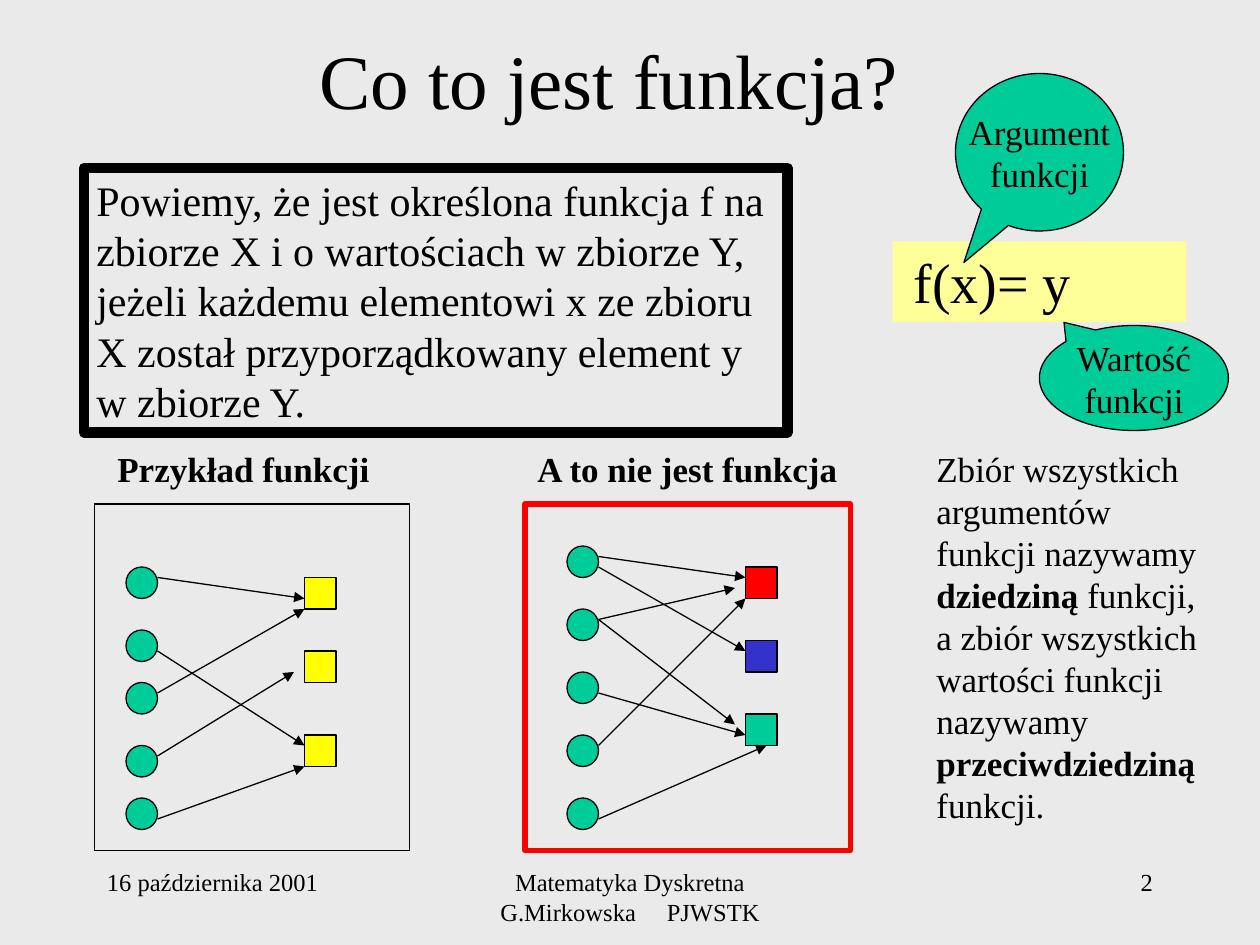
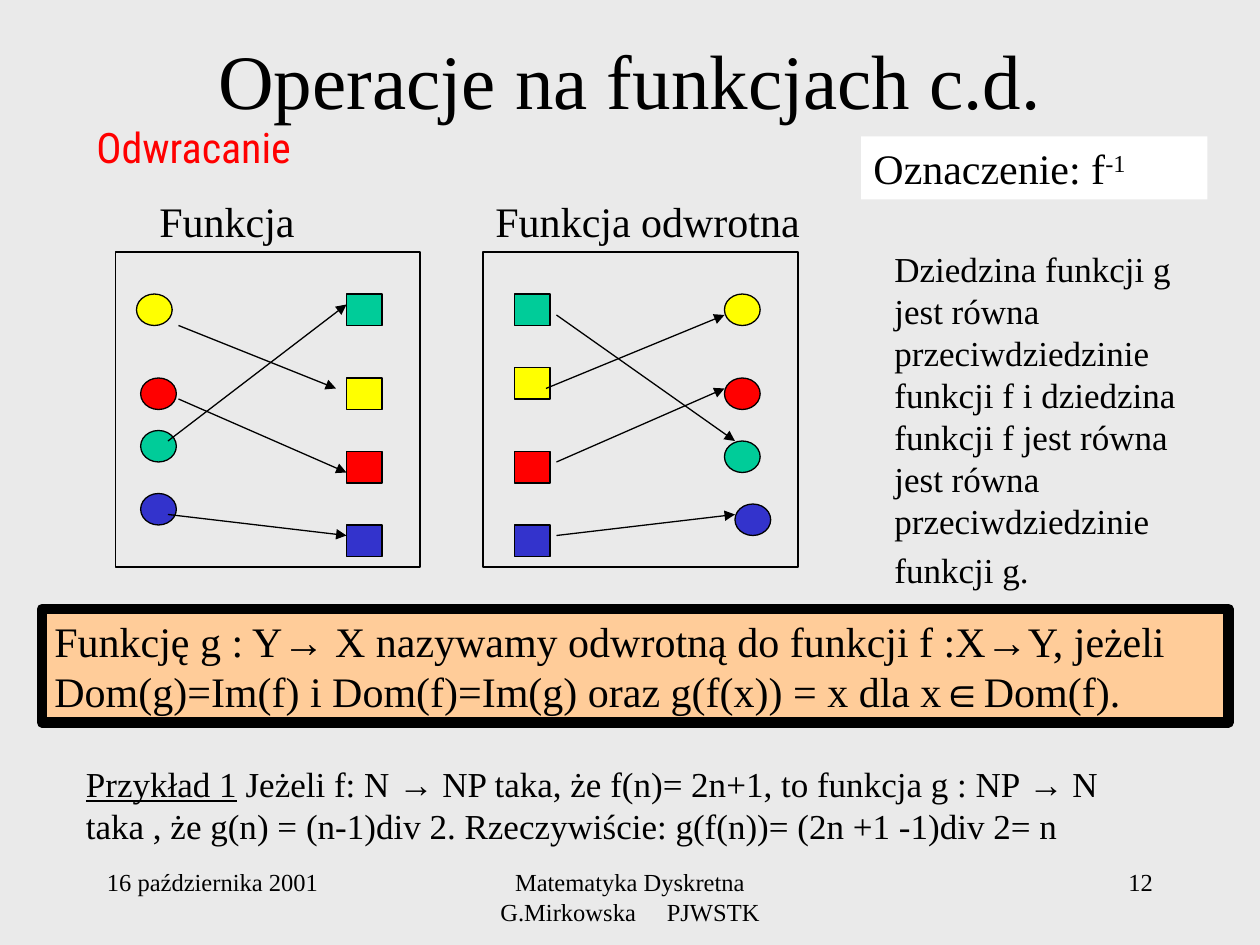
from dataclasses import dataclass, field

from lxml import etree
from pptx import Presentation
from pptx.dml.color import RGBColor
from pptx.enum.shapes import MSO_CONNECTOR, MSO_SHAPE
from pptx.enum.text import MSO_ANCHOR, MSO_AUTO_SIZE, PP_ALIGN
from pptx.oxml.ns import qn
from pptx.util import Emu, Pt

RECT, OVAL = MSO_SHAPE.RECTANGLE, MSO_SHAPE.OVAL
CALLOUT = MSO_SHAPE.OVAL_CALLOUT
STRAIGHT = MSO_CONNECTOR.STRAIGHT
TOP, MIDDLE = MSO_ANCHOR.TOP, MSO_ANCHOR.MIDDLE
LEFT, CENTER, RIGHT = PP_ALIGN.LEFT, PP_ALIGN.CENTER, PP_ALIGN.RIGHT
NO_FIT = MSO_AUTO_SIZE.NONE

EMU_PER_PX = 7620  # 120 px to the inch
TITLE_ONLY = 5


@dataclass(frozen=True)
class Theme:
    paper: str = "EAEAEA"
    ink: str = "000000"
    white: str = "FFFFFF"
    green: str = "00CC99"
    yellow: str = "FFFF00"
    red: str = "FF0000"
    blue: str = "3333CC"
    cream: str = "FFFF99"
    peach: str = "FFCC99"
    serif: str = "Times New Roman"
    symbol: str = "Arial"
    accent: str = "Roboto Condensed"
    title: int = 44
    formula: int = 32
    large: int = 24
    body: int = 20
    footer: int = 14
    thin: float = 0.75
    medium: float = 3
    thick: float = 6


T = Theme()


@dataclass(frozen=True)
class Box:
    x: int
    y: int
    w: int
    h: int

    def emu(self) -> list[Emu]:
        return [px(v) for v in (self.x, self.y, self.w, self.h)]


@dataclass(frozen=True)
class Run:
    text: str
    font: dict = field(default_factory=dict)
    xml: dict = field(default_factory=dict)


@dataclass(frozen=True)
class Mark:
    x: int
    y: int
    color: str


@dataclass(frozen=True)
class Diagram:
    """A framed mapping between circles and squares."""
    frame: Box
    circles: list[Mark]
    squares: list[Mark]
    arrows: list[tuple[int, int, int, int]]
    mark_w: int = 30
    mark_h: int = 30
    frame_color: str = T.ink
    frame_width: float = T.thin


ARROW = Run("→", {"name": T.symbol})
BOLD = {"bold": True}


def px(n: int) -> Emu:
    return Emu(n * EMU_PER_PX)


def rgb(color: str) -> RGBColor:
    return RGBColor.from_string(color)


def column(x: int, ys: list[int], colors: list[str]) -> list[Mark]:
    return [Mark(x, y, c) for y, c in zip(ys, colors)]


def write(sp, runs: list[Run], size: int, color: str = T.ink, font: str = T.serif,
          align=LEFT, anchor=TOP, wrap: bool = True, indent: int = 12) -> None:
    """Fill the text frame of sp with one paragraph of formatted runs."""
    tf = sp.text_frame
    frame_format = {
        "auto_size": NO_FIT, "word_wrap": wrap, "vertical_anchor": anchor,
        "margin_left": px(indent), "margin_right": px(12),
        "margin_top": px(6), "margin_bottom": px(6),
    }
    for name, value in frame_format.items():
        setattr(tf, name, value)
    p = tf.paragraphs[0]
    p.alignment = align
    for run in runs:
        for i, line in enumerate(run.text.split("\n")):
            if i:
                p.add_line_break()
            r = p.add_run()
            r.text = line
            for name, value in {"name": font, "size": Pt(size), **run.font}.items():
                setattr(r.font, name, value)
            r.font.color.rgb = rgb(color)
            for name, value in run.xml.items():
                r._r.get_or_add_rPr().set(name, value)


def text(s, box: Box, *runs: Run, size: int = T.body, **style) -> None:
    write(s.shapes.add_textbox(*box.emu()), list(runs), size, **style)


def shape(s, kind, box: Box, fill: str = "", line: str = "", width: float = T.thin):
    sp = s.shapes.add_shape(kind, *box.emu())
    sp.shadow.inherit = False
    if fill:
        sp.fill.solid()
        sp.fill.fore_color.rgb = rgb(fill)
    else:
        sp.fill.background()
    if line:
        sp.line.color.rgb = rgb(line)
        sp.line.width = Pt(width)
    else:
        sp.line.fill.background()
    return sp


def arrow(s, x1: int, y1: int, x2: int, y2: int) -> None:
    c = s.shapes.add_connector(STRAIGHT, px(x1), px(y1), px(x2), px(y2))
    c.line.color.rgb = rgb(T.ink)
    c.line.width = Pt(T.thin)
    sp_pr = c._element.spPr
    etree.SubElement(sp_pr.find(qn("a:ln")), qn("a:tailEnd"), type="triangle")
    etree.SubElement(sp_pr, qn("a:effectLst"))


def callout(s, box: Box, label: str, tip: tuple[float, float]) -> None:
    sp = shape(s, CALLOUT, box, T.green, T.ink)
    sp.adjustments[0], sp.adjustments[1] = tip
    write(sp, [Run(label)], T.body, align=CENTER, anchor=MIDDLE, wrap=False)


def diagram(s, d: Diagram) -> None:
    shape(s, RECT, d.frame, line=d.frame_color, width=d.frame_width)
    for kind, marks in ((OVAL, d.circles), (RECT, d.squares)):
        for m in marks:
            shape(s, kind, Box(m.x, m.y, d.mark_w, d.mark_h), m.color, T.ink)
    for ends in d.arrows:
        arrow(s, *ends)


def new_slide(prs, title: str, title_x: int, number: int):
    """Add a slide with its title and the shared footer."""
    s = prs.slides.add_slide(prs.slide_layouts[TITLE_ONLY])
    sp = s.shapes.title
    sp.left, sp.top, sp.width, sp.height = Box(title_x, 0, 1020, 150).emu()
    write(sp, [Run(title)], T.title, align=CENTER, anchor=MIDDLE)
    wide_gap = Run(" ", xml={"spc": "1400"})
    text(s, Box(410, 820, 380, 60), Run("Matematyka Dyskretna\nG.Mirkowska"), wide_gap,
         Run("PJWSTK"), size=T.footer, align=CENTER)
    text(s, Box(860, 820, 250, 60), Run(str(number)), size=T.footer, align=RIGHT)
    text(s, Box(90, 820, 250, 60), Run("16 października 2001"), size=T.footer)
    return s


def definition_slide(prs) -> None:
    s = new_slide(prs, "Co to jest funkcja?", 70, 2)

    # Definition
    sp = shape(s, RECT, Box(80, 160, 670, 252), line=T.ink, width=T.thick)
    write(sp, [Run("Powiemy, że jest określona funkcja f na zbiorze X i o wartościach "
                   "w zbiorze Y, jeżeli każdemu elementowi x ze zbioru X został "
                   "przyporządkowany element y w zbiorze Y.")], T.large)

    # Example and counterexample
    text(s, Box(100, 420, 310, 53), Run("Przykład funkcji", BOLD))
    diagram(s, Diagram(
        Box(90, 480, 300, 330),
        column(120, [540, 600, 650, 710, 760], [T.green] * 5),
        column(290, [550, 620, 700], [T.yellow] * 3),
        [(150, 550, 290, 570), (150, 620, 290, 710), (150, 720, 280, 640),
         (150, 660, 290, 580), (150, 780, 290, 730)]))
    text(s, Box(500, 420, 320, 53), Run("A to nie jest funkcja", BOLD))
    diagram(s, Diagram(
        Box(500, 480, 310, 330),
        column(540, list(range(520, 761, 60)), [T.green] * 5),
        column(710, [540, 610, 680], [T.red, T.blue, T.green]),
        [(570, 540, 710, 620), (570, 530, 710, 550), (570, 590, 700, 690),
         (570, 660, 710, 700), (570, 780, 730, 710), (570, 710, 710, 570),
         (570, 590, 700, 560)],
        frame_color=T.red, frame_width=T.medium))

    # Formula with its callouts
    sp = shape(s, RECT, Box(850, 230, 280, 77), T.cream)
    write(sp, [Run("f(x)= y")], T.formula, indent=20)
    callout(s, Box(910, 70, 160, 150), "Argument\nfunkcji", (-0.45, 0.7))
    callout(s, Box(990, 310, 180, 100), "Wartość\nfunkcji", (-0.37, -0.53))

    # Domain and codomain
    text(s, Box(880, 420, 290, 372),
         Run("Zbiór wszystkich argumentów funkcji nazywamy "), Run("dziedziną", BOLD),
         Run(" funkcji, a zbiór wszystkich wartości funkcji nazywamy "),
         Run("przeciwdziedziną ", BOLD), Run("funkcji."))


def inverse_slide(prs) -> None:
    s = new_slide(prs, "Operacje na funkcjach c.d.", 90, 12)

    # Headings
    text(s, Box(80, 110, 430, 70), Run("Odwracanie"), size=T.large, color=T.red,
         font=T.accent, wrap=False)
    text(s, Box(140, 180, 220, 60), Run("Funkcja"), size=T.large)
    text(s, Box(460, 180, 330, 60), Run("Funkcja odwrotna"), size=T.large)
    sp = shape(s, RECT, Box(820, 130, 330, 60), T.white)
    write(sp, [Run("Oznaczenie: f"), Run("-1", xml={"baseline": "30000"})], T.large)

    # Function and its inverse
    circle_colors = [T.yellow, T.red, T.green, T.blue]
    square_colors = [T.green, T.yellow, T.red, T.blue]
    diagram(s, Diagram(
        Box(110, 240, 290, 300),
        [Mark(130, 280, T.yellow)] + column(134, [360, 410, 470], circle_colors[1:]),
        column(330, [280, 360, 430, 500], square_colors),
        [(170, 310, 320, 370), (170, 380, 330, 450), (160, 420, 330, 290),
         (160, 490, 330, 510)], mark_w=34))
    diagram(s, Diagram(
        Box(460, 240, 300, 300),
        column(690, [280, 360, 420], circle_colors) + [Mark(700, 480, T.blue)],
        column(490, [280, 350, 430, 500], square_colors),
        [(530, 300, 700, 420), (530, 440, 690, 370), (520, 370, 690, 300),
         (530, 510, 700, 490)], mark_w=34))
    text(s, Box(840, 230, 320, 341),
         Run("Dziedzina funkcji g jest równa przeciwdziedzinie funkcji f i dziedzina "
             "funkcji f jest równa jest równa przeciwdziedzinie funkcji g."),
         Run(" ", {"size": Pt(T.large)}))

    # Definition
    sp = shape(s, RECT, Box(40, 580, 1130, 108), T.peach, T.ink, T.thick)
    write(sp, [Run("Funkcję g : Y"), ARROW, Run(" X nazywamy odwrotną do funkcji f :X"),
               ARROW, Run("Y, jeżeli Dom(g)=Im(f) i Dom(f)=Im(g) oraz g(f(x)) = x dla x"),
               Run("∈", {"name": T.symbol}), Run("Dom(f).")], T.large)

    # Worked example
    text(s, Box(70, 720, 1000, 92), Run("Przykład 1", {"underline": True}),
         Run(" Jeżeli f: N "), ARROW,
         Run(" NP taka, że f(n)= 2n+1, to funkcja g : NP "), ARROW,
         Run(" N taka , że g(n) = (n-1)div 2. Rzeczywiście: g(f(n))= (2n +1 -1)div 2= n"))


def main() -> None:
    prs = Presentation()
    prs.slide_width, prs.slide_height = px(1200), px(900)
    fill = prs.slide_master.background.fill
    fill.solid()
    fill.fore_color.rgb = rgb(T.paper)
    definition_slide(prs)
    inverse_slide(prs)
    prs.save("out.pptx")


if __name__ == "__main__":
    main()
